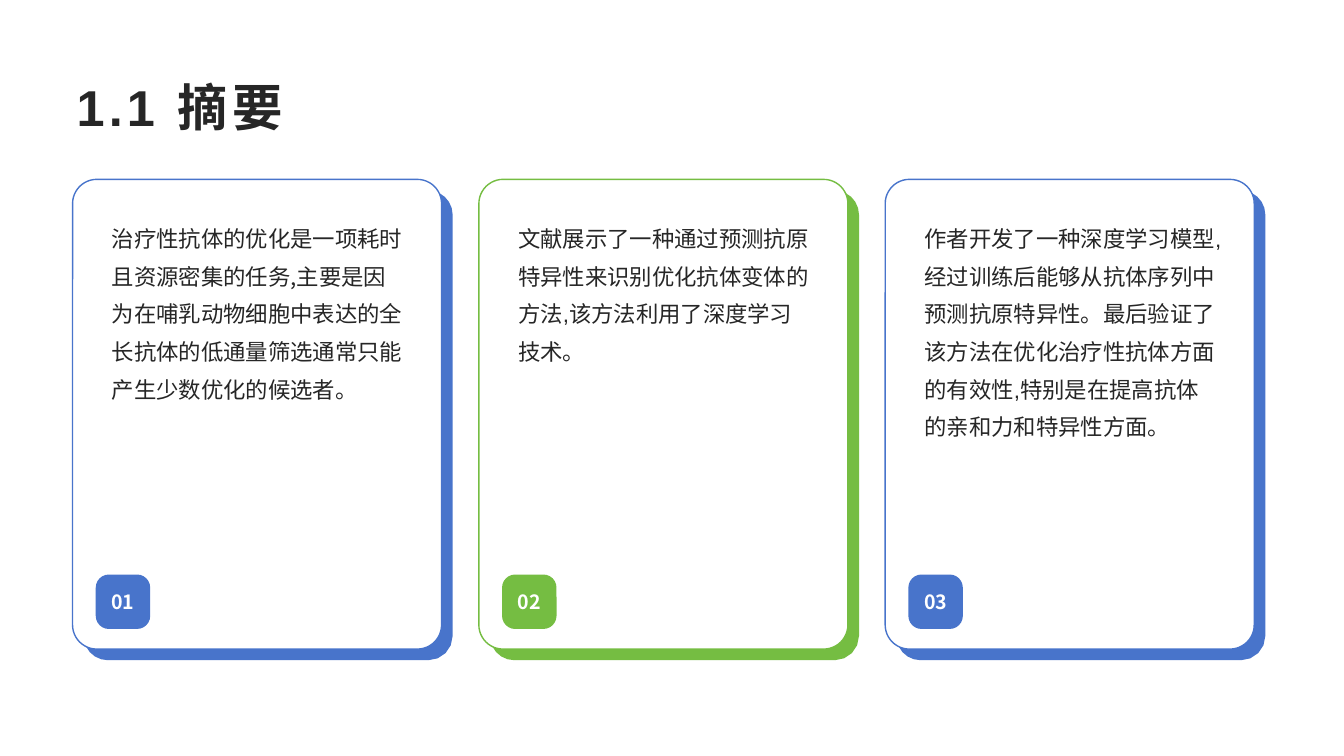
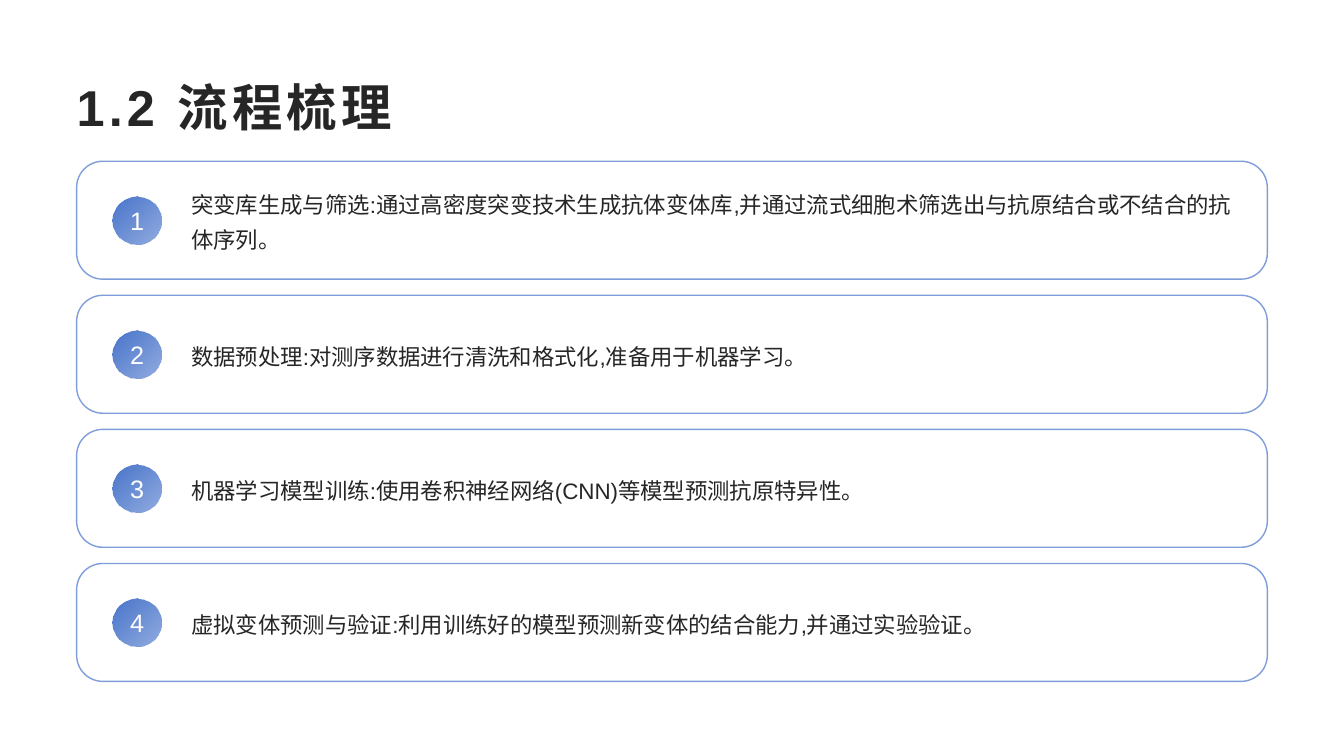
from math import asin, cos, degrees, radians, sin, sqrt
from typing import NamedTuple

from lxml.etree import SubElement
from pptx import Presentation
from pptx.dml.color import RGBColor
from pptx.enum.shapes import MSO_SHAPE as Shp
from pptx.enum.text import MSO_ANCHOR as Anc, MSO_AUTO_SIZE as Fit, PP_ALIGN as Al
from pptx.oxml.ns import qn
from pptx.shapes.autoshape import Shape
from pptx.slide import Slide
from pptx.util import Inches, Pt

BLUE = RGBColor(0x48, 0x74, 0xCB)
GREEN = RGBColor(0x75, 0xBD, 0x42)
INK = RGBColor(0x26, 0x26, 0x26)
WHITE = RGBColor(0xFF, 0xFF, 0xFF)
SANS, CJK = "Arial", "Noto Sans CJK SC"

WIDE, HIGH = 13.33, 7.5
# Summary cards: three columns
CARD_X, CARD_Y, CARD_W, CARD_H, CARD_GAP = 0.72, 1.78, 3.66, 4.66, 0.37
ROUND, SHIFT = 0.24, 0.11
# Process steps: four rows
ROW_X, ROW_Y, ROW_W, ROW_H, ROW_GAP = 0.76, 1.6, 11.81, 1.17, 0.16
DOT = 0.48


class Box(NamedTuple):
    x: float
    y: float
    w: float
    h: float


class Card(NamedTuple):
    text: str
    color: RGBColor
    font: str = SANS


class Style(NamedTuple):
    size: float
    font: str = SANS
    color: RGBColor = INK
    bold: bool = False
    gap: float = 0  # points between letters


TITLE = Style(36, bold=True, gap=3)
BADGE = Style(14, CJK, WHITE, True)
DIGIT = Style(18, color=WHITE)

CARDS = [
    Card("治疗性抗体的优化是一项耗时且资源密集的任务,主要是因为在哺乳动物细胞中表达的"
         "全长抗体的低通量筛选通常只能产生少数优化的候选者。", BLUE, CJK),
    Card("文献展示了一种通过预测抗原特异性来识别优化抗体变体的方法,"
         "该方法利用了深度学习技术。", GREEN),
    Card("作者开发了一种深度学习模型,经过训练后能够从抗体序列中预测抗原特异性。"
         "最后验证了该方法在优化治疗性抗体方面的有效性,"
         "特别是在提高抗体的亲和力和特异性方面。", BLUE),
]
STEPS = [
    "突变库生成与筛选:通过高密度突变技术生成抗体变体库,"
    "并通过流式细胞术筛选出与抗原结合或不结合的抗体序列。",
    "数据预处理:对测序数据进行清洗和格式化,准备用于机器学习。",
    "机器学习模型训练:使用卷积神经网络(CNN)等模型预测抗原特异性。",
    "虚拟变体预测与验证:利用训练好的模型预测新变体的结合能力,并通过实验验证。",
]


def fade(shape: Shape, share: float) -> None:
    """Set the opacity of the colour last given to the shape."""
    last = shape._element.spPr.xpath(".//a:srgbClr")[-1]
    SubElement(last, qn("a:alpha")).set("val", str(round(share * 100000)))


def write(shape: Shape, text: str, style: Style, align: Al = Al.LEFT,
          lead: float = 1, anchor: Anc = Anc.MIDDLE, wrap: bool = True,
          pad: tuple[float, ...] = (0.1, 0.05, 0.1, 0.05)) -> None:
    frame = shape.text_frame
    frame.text = text
    frame.auto_size = Fit.NONE
    frame.word_wrap = wrap
    frame.vertical_anchor = anchor
    (frame.margin_left, frame.margin_top,
     frame.margin_right, frame.margin_bottom) = map(Inches, pad)
    para = frame.paragraphs[0]
    para.alignment, para.line_spacing = align, lead
    run = para.runs[0]
    font = run.font
    font.size, font.bold, font.name = Pt(style.size), style.bold, style.font
    font.color.rgb = style.color
    props = run._r.get_or_add_rPr()
    SubElement(props, qn("a:ea")).set("typeface", CJK)
    if style.gap:
        props.set("spc", str(round(style.gap * 100)))


def paint(shape: Shape, fill: RGBColor) -> None:
    """Give a flat fill without line or shadow."""
    shape.shadow.inherit = False
    shape.fill.solid()
    shape.fill.fore_color.rgb = fill
    shape.line.fill.background()


def place(slide: Slide, kind: Shp, box: Box, fill: RGBColor,
          turn: float | None = None) -> Shape:
    """Add a flat shape; turn is its corner radius."""
    shape = slide.shapes.add_shape(kind, *map(Inches, box))
    paint(shape, fill)
    if turn is not None:
        shape.adjustments[0] = turn / min(box.w, box.h)
    return shape


def edge(shape: Shape, color: RGBColor) -> None:
    shape.line.color.rgb = color
    shape.line.width = Pt(1)


def arc(x: float, y: float, start: float, end: float,
        count: int = 4) -> list[tuple[float, float]]:
    turns = [radians(start + (end - start) * i / count) for i in range(count + 1)]
    return [(x + ROUND * cos(t), y + ROUND * sin(t)) for t in turns]


def rim(slide: Slide, box: Box, color: RGBColor) -> None:
    """Draw the part of the shifted card that shows beside the card."""
    left, right = box.x + ROUND, box.x + box.w - ROUND
    top, base = box.y + ROUND, box.y + box.h - ROUND
    skew = degrees(asin(SHIFT / sqrt(2) / ROUND))
    outer = (arc(right, top, -45 - skew, 0) + arc(right, base, 0, 90)
             + arc(left, base, 90, 135 + skew))
    # The card covers the inner side, so one chord a corner is enough
    inner = (arc(left, base, 135 - skew, 90, 1) + arc(right, base, 90, 0, 1)
             + arc(right, top, 0, -45 + skew, 1))
    dots = [(x + SHIFT, y + SHIFT) for x, y in outer] + inner
    spots = [(Inches(x), Inches(y)) for x, y in dots]
    pen = slide.shapes.build_freeform(*spots[0])
    pen.add_line_segments(spots[1:], close=True)
    paint(pen.convert_to_shape(), color)


def draw_card(slide: Slide, col: int, card: Card) -> None:
    box = Box(CARD_X + col * (CARD_W + CARD_GAP), CARD_Y, CARD_W, CARD_H)
    rim(slide, box, card.color)
    panel = place(slide, Shp.ROUNDED_RECTANGLE, box, WHITE, ROUND)
    edge(panel, card.color)
    write(panel, card.text, Style(16, card.font), lead=1.4, anchor=Anc.TOP,
          pad=(0.32, 0.28, 0.31, 0.76))
    spot = Box(box.x + 0.23, box.y + 3.92, 0.54, 0.54)
    badge = place(slide, Shp.ROUNDED_RECTANGLE, spot, card.color, 0.13)
    write(badge, f"{col + 1:02}", BADGE, Al.CENTER, wrap=False)


def draw_step(slide: Slide, row: int, text: str) -> None:
    box = Box(ROW_X, ROW_Y + row * (ROW_H + ROW_GAP), ROW_W, ROW_H)
    panel = place(slide, Shp.ROUNDED_RECTANGLE, box, WHITE, 0.26)
    edge(panel, BLUE)
    fade(panel, 0.7)
    write(panel, text, Style(16), lead=1.3, pad=(1.06, 0, 0.2, 0.04))
    spot = Box(box.x + 0.36, box.y + (ROW_H - DOT) / 2, DOT, DOT)
    dot = place(slide, Shp.OVAL, spot, BLUE)
    dot.fill.gradient()
    dot.fill.gradient_angle = 315
    for stop in dot.fill.gradient_stops:
        stop.color.rgb = BLUE
    fade(dot, 0.59)
    write(dot, str(row + 1), DIGIT, Al.CENTER, wrap=False)


def add_page(deck: Presentation, title: str) -> Slide:
    slide = deck.slides.add_slide(deck.slide_layouts[5])
    head = slide.shapes.title
    head.left, head.top = Inches(0.66), Inches(0.67)
    head.width, head.height = Inches(12), Inches(0.77)
    write(head, title, TITLE)
    return slide


def main() -> None:
    deck = Presentation()
    deck.slide_width, deck.slide_height = Inches(WIDE), Inches(HIGH)
    page = add_page(deck, "1.1 摘要")
    for col, card in enumerate(CARDS):
        draw_card(page, col, card)
    page = add_page(deck, "1.2 流程梳理")
    for row, text in enumerate(STEPS):
        draw_step(page, row, text)
    deck.save("out.pptx")


if __name__ == "__main__":
    main()
